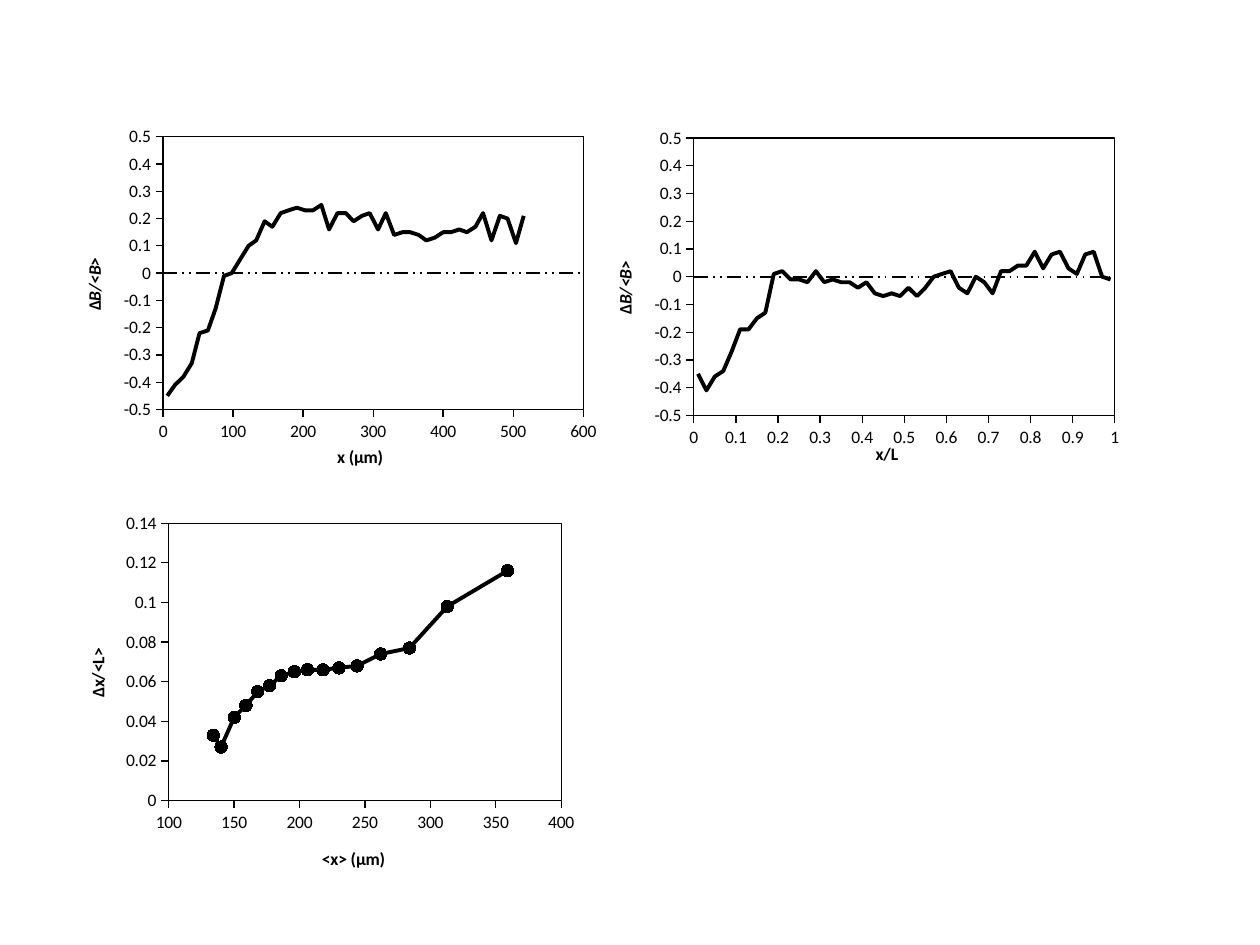
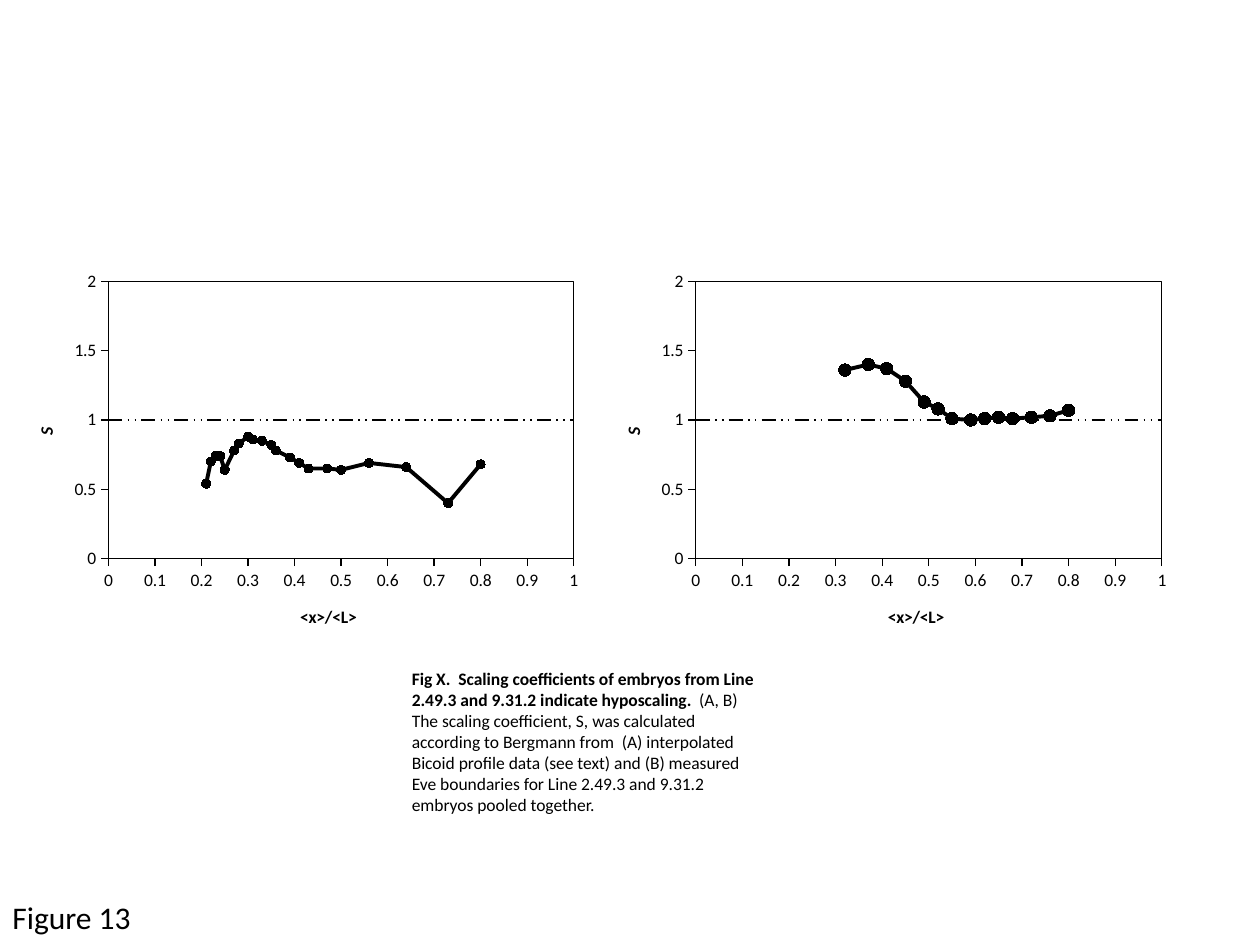
from dataclasses import dataclass
from typing import NamedTuple, Optional

from lxml.etree import SubElement
from pptx import Presentation
from pptx.chart.axis import _BaseAxis as Axis
from pptx.chart.chart import Chart
from pptx.chart.data import XyChartData
from pptx.dml.color import RGBColor
from pptx.enum.chart import XL_AXIS_CROSSES as Crosses
from pptx.enum.chart import XL_CHART_TYPE as ChartType
from pptx.enum.chart import XL_MARKER_STYLE as Marker
from pptx.enum.chart import XL_TICK_LABEL_POSITION as LabelPosition
from pptx.enum.chart import XL_TICK_MARK as TickMark
from pptx.enum.dml import MSO_LINE_DASH_STYLE as Dash
from pptx.enum.text import MSO_AUTO_SIZE as AutoSize
from pptx.oxml import parse_xml
from pptx.oxml.ns import nsdecls, qn
from pptx.slide import Slide
from pptx.text.text import _Paragraph as Paragraph
from pptx.util import Inches, Pt


@dataclass(frozen=True)
class Theme:
    ink: RGBColor = RGBColor(0, 0, 0)
    font: str = "Calibri"
    body: Pt = Pt(10)
    label: Pt = Pt(18)
    axis: Pt = Pt(0.75)
    reference: Pt = Pt(1)
    curve: Pt = Pt(2.25)


THEME = Theme()


class Box(NamedTuple):
    left: float
    top: float
    width: float
    height: float


class Words(NamedTuple):
    text: str
    bold: bool = False
    italic: bool = False


class Scale(NamedTuple):
    title: list[Words]
    low: float
    high: float
    step: float


class TitleSpot(NamedTuple):
    x: float
    y: float


@dataclass(frozen=True)
class Plot:
    frame: Box
    inner: Box
    across: Scale
    up: Scale
    xs: list[float]
    ys: list[float]
    marker: int = 0
    reference: Optional[float] = None
    title_spot: Optional[TitleSpot] = None


RELATIVE_B = Scale([Words("Δ", True), Words("B/<B>", True, True)], -0.5, 0.5, 0.1)
SCALING = Scale([Words("S", True, True)], 0, 2, 0.5)
RELATIVE_X = Scale([Words("<x>/<L>", True)], 0, 1, 0.1)
SCALING_INNER = Box(0.139, 0.051, 0.743, 0.734)
SCALING_TITLE = TitleSpot(0.44, 0.9)

PROFILE_BY_DISTANCE_Y = [
    -0.45, -0.41, -0.38, -0.33, -0.22, -0.21, -0.13, -0.01, 0, 0.05, 0.1, 0.12,
    0.19, 0.17, 0.22, 0.23, 0.24, 0.23, 0.23, 0.25, 0.16, 0.22, 0.22, 0.19, 0.21,
    0.22, 0.16, 0.22, 0.14, 0.15, 0.15, 0.14, 0.12, 0.13, 0.15, 0.15, 0.16, 0.15,
    0.17, 0.22, 0.12, 0.21, 0.2, 0.11, 0.21,
]
PROFILE_BY_LENGTH_Y = [
    -0.35, -0.41, -0.36, -0.34, -0.27, -0.19, -0.19, -0.15, -0.13, 0.01, 0.02,
    -0.01, -0.01, -0.02, 0.02, -0.02, -0.01, -0.02, -0.02, -0.04, -0.02, -0.06,
    -0.07, -0.06, -0.07, -0.04, -0.07, -0.04, 0, 0.01, 0.02, -0.04, -0.06, 0,
    -0.02, -0.06, 0.02, 0.02, 0.04, 0.04, 0.09, 0.03, 0.08, 0.09, 0.03, 0.01,
    0.08, 0.09, 0, -0.01,
]


def bin_centres(width: float, count: int, digits: Optional[int]) -> list[float]:
    return [round(width * (index + 0.5), digits) for index in range(count)]


BOUNDARY_SHIFT = Plot(
    Box(0.58, 4, 5, 3), Box(0.152, 0.051, 0.623, 0.734),
    Scale([Words("<x> (µm)", True)], 100, 400, 50),
    Scale([Words("Δx/<L>", True)], 0, 0.14, 0.02),
    [359, 313, 284, 262, 244, 230, 218, 206, 196, 186, 177, 168, 159, 150, 140, 134],
    [0.116, 0.098, 0.077, 0.074, 0.068, 0.067, 0.066, 0.066, 0.065, 0.063, 0.058,
     0.055, 0.048, 0.042, 0.027, 0.033],
    marker=7, title_spot=TitleSpot(0.39, 0.9),
)
PROFILE_BY_LENGTH = Plot(
    Box(4.83, 0.73, 5.01, 3), Box(0.135, 0.122, 0.667, 0.734),
    Scale([Words("x/L", True)], 0, 1, 0.1), RELATIVE_B,
    bin_centres(0.02, len(PROFILE_BY_LENGTH_Y), 2), PROFILE_BY_LENGTH_Y, reference=0,
)
PROFILE_BY_DISTANCE = Plot(
    Box(0.58, 0.75, 5, 3), Box(0.143, 0.112, 0.667, 0.722),
    Scale([Words("x (µm)", True)], 0, 600, 100), RELATIVE_B,
    bin_centres(11.58, len(PROFILE_BY_DISTANCE_Y), None), PROFILE_BY_DISTANCE_Y,
    reference=0,
)
EVE_SCALING = Plot(
    Box(4.83, 2.08, 4.98, 3), SCALING_INNER, RELATIVE_X, SCALING,
    [0.32, 0.37, 0.41, 0.45, 0.49, 0.52, 0.55, 0.59, 0.62, 0.65, 0.68, 0.72, 0.76, 0.8],
    [1.36, 1.4, 1.37, 1.28, 1.13, 1.08, 1.01, 1, 1.01, 1.02, 1.01, 1.02, 1.03, 1.07],
    marker=7, reference=1, title_spot=SCALING_TITLE,
)
BICOID_SCALING = Plot(
    Box(0.17, 2.08, 4.97, 3), SCALING_INNER, RELATIVE_X, SCALING,
    [0.21, 0.22, 0.23, 0.24, 0.25, 0.27, 0.28, 0.3, 0.31, 0.33, 0.35, 0.36, 0.39,
     0.41, 0.43, 0.47, 0.5, 0.56, 0.64, 0.73, 0.8],
    [0.54, 0.7, 0.74, 0.74, 0.64, 0.78, 0.83, 0.88, 0.86, 0.85, 0.82, 0.78, 0.73,
     0.69, 0.65, 0.65, 0.64, 0.69, 0.66, 0.4, 0.68],
    marker=5, reference=1, title_spot=SCALING_TITLE,
)

CAPTION = [
    Words("Fig X.  Scaling coefficients of embryos from Line 2.49.3 and 9.31.2 "
          "indicate hyposcaling.", True),
    Words("  (A, B) The scaling coefficient, S, was calculated according to Bergmann "
          "from  (A) interpolated Bicoid profile data (see text) and (B) measured Eve "
          "boundaries for Line 2.49.3 and 9.31.2 embryos pooled together."),
]


def write(paragraph: Paragraph, runs: list[Words], size: Pt) -> None:
    for words in runs:
        run = paragraph.add_run()
        run.text = words.text
        run.font.name, run.font.size = THEME.font, size
        run.font.bold, run.font.italic = words.bold, words.italic
        run.font.color.rgb = THEME.ink


def add_text(slide: Slide, box: Box, runs: list[Words], size: Pt, wrap: bool) -> None:
    frame = slide.shapes.add_textbox(*map(Inches, box)).text_frame
    frame.word_wrap = wrap
    frame.auto_size = AutoSize.SHAPE_TO_FIT_TEXT
    write(frame.paragraphs[0], runs, size)


def layout_xml(settings: dict[str, object]):
    layout = parse_xml(f"<c:layout {nsdecls('c')}><c:manualLayout/></c:layout>")
    for tag, value in settings.items():
        SubElement(layout[0], qn(f"c:{tag}")).set("val", str(value))
    return layout


def style_axis(axis: Axis, scale: Scale) -> None:
    axis.minimum_scale, axis.maximum_scale = scale.low, scale.high
    axis.major_unit = scale.step
    axis.has_major_gridlines = False
    axis.major_tick_mark, axis.minor_tick_mark = TickMark.OUTSIDE, TickMark.NONE
    axis.tick_label_position = LabelPosition.LOW
    axis.tick_labels.number_format = "General"
    axis.tick_labels.number_format_is_linked = False
    axis.crosses = Crosses.MINIMUM
    axis.format.line.color.rgb = THEME.ink
    axis.format.line.width = THEME.axis
    write(axis.axis_title.text_frame.paragraphs[0], scale.title, THEME.body)


def place_parts(chart: Chart, plot: Plot) -> None:
    space = chart.element
    area = space.find(f".//{qn('c:plotArea')}")
    for old in area.findall(qn("c:layout")):
        area.remove(old)
    inner = plot.inner
    area.insert(0, layout_xml({
        "layoutTarget": "inner", "xMode": "edge", "yMode": "edge",
        "x": inner.left, "y": inner.top, "w": inner.width, "h": inner.height,
    }))
    area.append(parse_xml(
        f"<c:spPr {nsdecls('c', 'a')}><a:noFill/><a:ln w='{int(THEME.axis)}'><a:solidFill>"
        f"<a:srgbClr val='{THEME.ink}'/></a:solidFill></a:ln></c:spPr>"))
    space.find(qn("c:chart")).addnext(parse_xml(
        f"<c:spPr {nsdecls('c', 'a')}><a:noFill/><a:ln><a:noFill/></a:ln></c:spPr>"))
    turned = chart.value_axis.axis_title.element.find(f".//{qn('a:bodyPr')}")
    turned.set("rot", "-5400000")
    turned.set("vert", "horz")
    if plot.title_spot:
        title = chart.category_axis.axis_title.element
        for old in title.findall(qn("c:layout")):
            title.remove(old)
        title.find(qn("c:tx")).addnext(layout_xml({
            "xMode": "edge", "yMode": "edge",
            "x": plot.title_spot.x, "y": plot.title_spot.y,
        }))


def add_plot(slide: Slide, plot: Plot) -> None:
    data = XyChartData()
    curve = data.add_series("Series 1")
    for x, y in zip(plot.xs, plot.ys):
        curve.add_data_point(x, y)
    if plot.reference is not None:
        level = data.add_series("Series 2")
        for x in (plot.across.low, plot.across.high):
            level.add_data_point(x, plot.reference)
    kind = ChartType.XY_SCATTER_LINES if plot.marker else ChartType.XY_SCATTER_SMOOTH_NO_MARKERS
    chart = slide.shapes.add_chart(kind, *map(Inches, plot.frame), data).chart
    chart.has_legend = chart.has_title = False
    chart.font.name, chart.font.size = THEME.font, THEME.body
    chart.font.color.rgb = THEME.ink
    chart.plots[0].vary_by_categories = False
    style_axis(chart.category_axis, plot.across)
    style_axis(chart.value_axis, plot.up)
    for index, series in enumerate(chart.plots[0].series):
        is_curve = index == 0
        series.smooth = is_curve and not plot.marker
        series.format.line.color.rgb = THEME.ink
        series.format.line.width = THEME.curve if is_curve else THEME.reference
        if is_curve and plot.marker:
            series.marker.style, series.marker.size = Marker.CIRCLE, plot.marker
            series.marker.format.fill.solid()
            series.marker.format.fill.fore_color.rgb = THEME.ink
            series.marker.format.line.color.rgb = THEME.ink
        else:
            series.marker.style = Marker.NONE
        if not is_curve:
            series.format.line.dash_style = Dash.DASH_DOT_DOT
    place_parts(chart, plot)


def main() -> None:
    deck = Presentation()
    deck.slide_width, deck.slide_height = Inches(10), Inches(7.5)
    blank = deck.slide_layouts[6]

    profiles = deck.slides.add_slide(blank)
    for plot in (BOUNDARY_SHIFT, PROFILE_BY_LENGTH, PROFILE_BY_DISTANCE):
        add_plot(profiles, plot)

    scaling = deck.slides.add_slide(blank)
    add_text(scaling, Box(3.17, 5.25, 3, 1.28), CAPTION, THEME.body, True)
    add_text(scaling, Box(0, 7.08, 1.15, 0.4), [Words("Figure 13")], THEME.label, False)
    for plot in (EVE_SCALING, BICOID_SCALING):
        add_plot(scaling, plot)

    deck.save("out.pptx")


if __name__ == "__main__":
    main()
